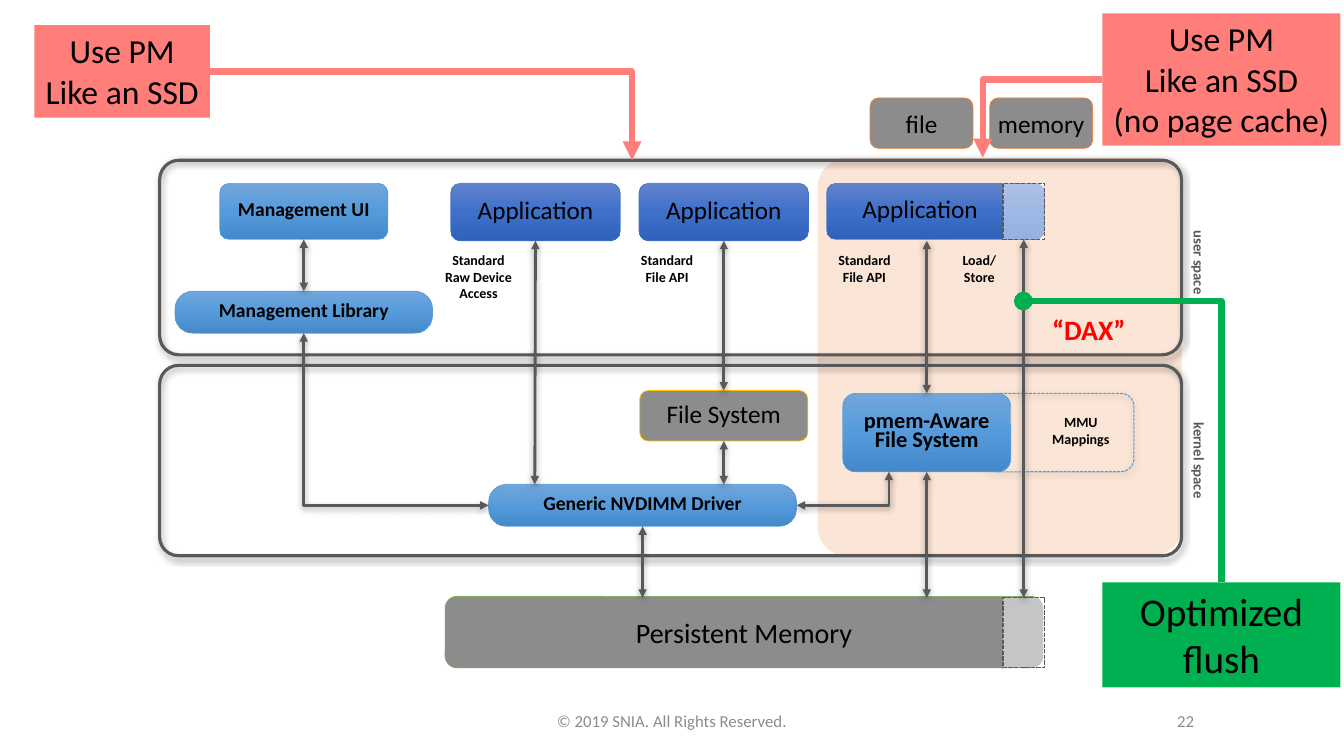
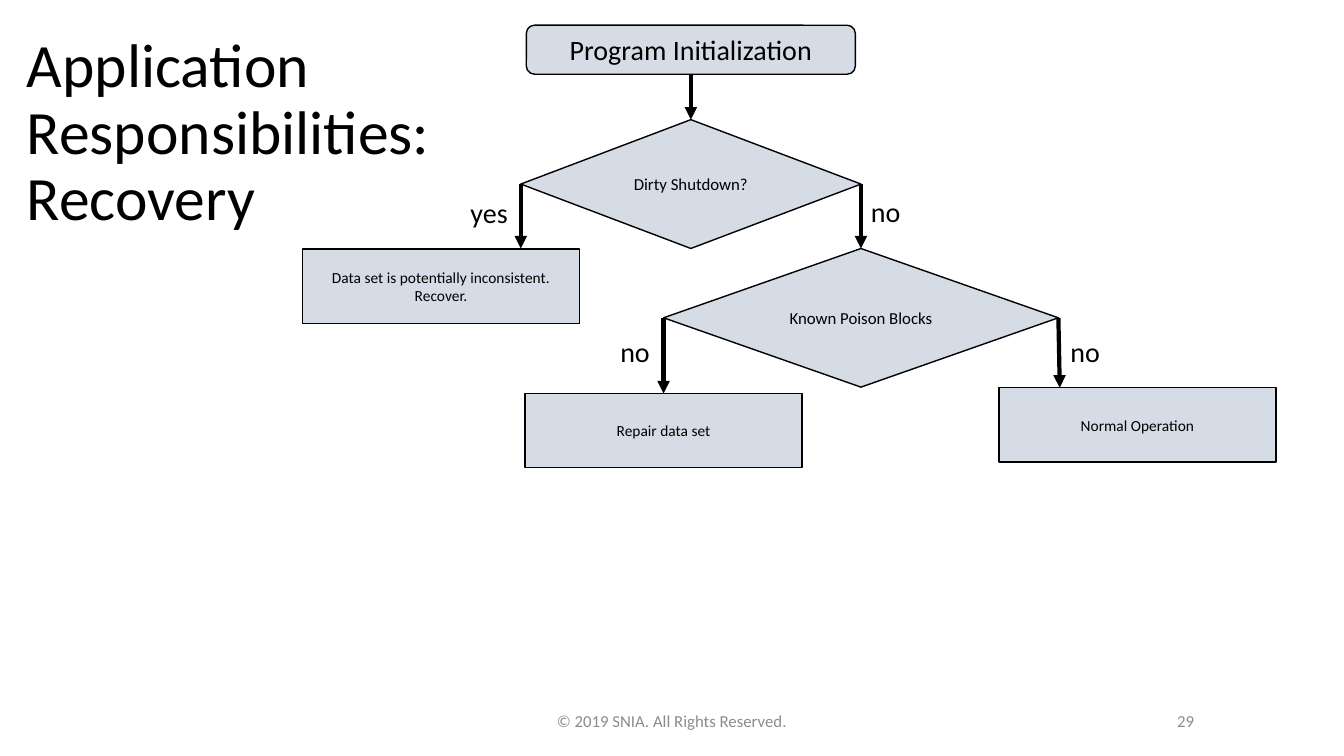
from lxml.etree import SubElement
from pptx import Presentation
from pptx.dml.color import RGBColor
from pptx.enum.dml import MSO_LINE
from pptx.enum.shapes import MSO_CONNECTOR, MSO_SHAPE
from pptx.enum.text import MSO_ANCHOR, MSO_AUTO_SIZE, PP_ALIGN
from pptx.oxml.ns import qn
from pptx.util import Pt

FONT = "Calibri"
BLACK = RGBColor(0x00, 0x00, 0x00)
WHITE = RGBColor(0xFF, 0xFF, 0xFF)
GRAY = RGBColor(0x8C, 0x8C, 0x8C)
DARK = RGBColor(0x59, 0x59, 0x59)
PEACH = RGBColor(0xFB, 0xE5, 0xD6)
CORAL = RGBColor(0xFF, 0x7E, 0x79)
GREEN = RGBColor(0x00, 0xB0, 0x50)
LEAF = RGBColor(0x70, 0xAD, 0x47)
GOLD = RGBColor(0xFF, 0xC0, 0x00)
ORANGE = RGBColor(0xED, 0x7D, 0x31)
RED = RGBColor(0xFF, 0x00, 0x00)
PALE = RGBColor(0xD6, 0xDC, 0xE5)
SKY = RGBColor(0x5B, 0x9B, 0xD5)
ROYAL = RGBColor(0x44, 0x72, 0xC4)
SKY_FADE = [RGBColor(0x71, 0xA6, 0xDB), RGBColor(0x55, 0x9B, 0xDB),
            RGBColor(0x44, 0x8A, 0xCA)]
ROYAL_FADE = [RGBColor(0x61, 0x83, 0xCB), RGBColor(0x3E, 0x70, 0xCA),
              RGBColor(0x30, 0x62, 0xBB)]

ROUND = MSO_SHAPE.ROUNDED_RECTANGLE
RECT = MSO_SHAPE.RECTANGLE
TOP, LEFT, BOTTOM, RIGHT = range(4)
SNUG = (5, 3, 5, 3)
LOW = (0, 0, 0, 3.6)
WIDE = (7.2, 0, 7.2, 3.6)


def write(shape, text, size=12, bold=False, color=BLACK, align=PP_ALIGN.CENTER,
          anchor=MSO_ANCHOR.MIDDLE, inset=(7.2, 3.6, 7.2, 3.6), wrap=True,
          lead=None):
    """Fill a shape with text, one paragraph a line."""
    frame = shape.text_frame
    frame.text = text
    frame.word_wrap = wrap
    frame.auto_size = MSO_AUTO_SIZE.NONE
    frame.vertical_anchor = anchor
    (frame.margin_left, frame.margin_top,
     frame.margin_right, frame.margin_bottom) = map(Pt, inset)
    for para in frame.paragraphs:
        para.alignment = align
        if lead:
            para.line_spacing = lead
        font = para.font
        font.name, font.size, font.bold = FONT, Pt(size), bold
        font.color.rgb = color


def label(slide, at, text, **style):
    box = slide.shapes.add_textbox(*map(Pt, at))
    write(box, text, **style)
    return box


def shade(shape, on):
    """Replace the theme's effects by a soft shadow, or by none."""
    effects = SubElement(shape._element.spPr, qn("a:effectLst"))
    if on:
        outer = SubElement(effects, qn("a:outerShdw"), blurRad=str(Pt(5)),
                           dist=str(Pt(1.6)), dir="5400000", rotWithShape="0")
        tint = SubElement(outer, qn("a:srgbClr"), val="000000")
        SubElement(tint, qn("a:alpha"), val="38000")


def fade(fill, shape, colors):
    """Give a shape an even gradient from top to bottom."""
    fill.gradient()
    fill.gradient_angle = 270
    stops = next(shape._element.spPr.iter(qn("a:gsLst")))
    for stop in list(stops):
        stops.remove(stop)
    for i, color in enumerate(colors):
        stop = SubElement(stops, qn("a:gs"), pos=str(i * 50000))
        SubElement(stop, qn("a:srgbClr"), val=str(color))


def block(slide, at, kind=ROUND, fill=None, line=None, width=0.5, curve=None,
          dash=False, clear=None, shadow=False, text=None, **style):
    shape = slide.shapes.add_shape(kind, *map(Pt, at))
    if curve is not None:
        shape.adjustments[0] = curve
    if fill is None:
        shape.fill.background()
    elif isinstance(fill, list):
        fade(shape.fill, shape, fill)
    else:
        shape.fill.solid()
        shape.fill.fore_color.rgb = fill
    if clear:
        tint = next(shape._element.spPr.iter(qn("a:srgbClr")))
        SubElement(tint, qn("a:alpha"), val=str(clear * 1000))
    if line is None:
        shape.line.fill.background()
    else:
        shape.line.color.rgb = line
        shape.line.width = Pt(width)
    if dash:
        shape.line.dash_style = MSO_LINE.SQUARE_DOT
    shade(shape, shadow)
    if text:
        write(shape, text, **style)
    return shape


def spot(end):
    """Turn a point, or a shape and its side, into a place."""
    box, side = end
    if isinstance(box, (int, float)):
        return Pt(box), Pt(side)
    return (box.left + box.width * (1, 0, 1, 2)[side] // 2,
            box.top + box.height * (0, 1, 2, 1)[side] // 2)


def link(slide, start, stop, color=DARK, width=2, head="triangle",
         tail="triangle", bend=False, shadow=False):
    """Draw an arrow; a bent one runs level first, then upright."""
    kind = MSO_CONNECTOR.ELBOW if bend else MSO_CONNECTOR.STRAIGHT
    wire = slide.shapes.add_connector(kind, *spot(start), *spot(stop))
    for end, join in ((start, wire.begin_connect), (stop, wire.end_connect)):
        if not isinstance(end[0], (int, float)):
            join(*end)
    form = wire._element.spPr
    if bend:
        form.find(qn("a:prstGeom")).set("prst", "bentConnector2")
    wire.line.color.rgb = color
    wire.line.width = Pt(width)
    edge = form.find(qn("a:ln"))
    for tag, tip in (("a:headEnd", head), ("a:tailEnd", tail)):
        if tip:
            SubElement(edge, qn(tag), type=tip)
    shade(wire, shadow)


def foot(slide, number):
    label(slide, (318, 500, 324, 29), "© 2019 SNIA. All Rights Reserved.",
          color=GRAY)
    label(slide, (644, 500, 216, 29), number, color=GRAY,
          align=PP_ALIGN.RIGHT)


def stack(slide):
    """Draw the software stack above persistent memory."""
    foot(slide, "22")
    block(slide, (584, 113, 260, 284), fill=PEACH, curve=0.08)
    block(slide, (318, 426, 427, 51), fill=GRAY, line=LEAF,
          text="Persistent Memory", size=20, inset=SNUG, wrap=False)
    for top, high, name, start, span in (
            (114.5, 139, "user space", 127, 121),
            (261, 136, "kernel space", 243, 172)):
        block(slide, (114, top, 730, high), line=DARK, width=2.25, curve=0.1,
              shadow=True)
        side = label(slide, (844, start, 24, span), name, size=10.5, bold=True,
                     color=DARK, anchor=MSO_ANCHOR.TOP, inset=SNUG)
        side.rotation = 180
        side.text_frame._txBody.bodyPr.set("vert", "vert270")

    blue = {"fill": SKY_FADE, "line": SKY, "bold": True}
    panel = blue | {"size": 14, "inset": LOW}
    royal = {"fill": ROYAL_FADE, "line": ROYAL, "size": 18,
             "text": "Application"}
    tool = block(slide, (157, 131, 120, 40), text="Management UI", **panel)
    base = block(slide, (125, 208, 184, 30), curve=0.43,
                 text="Management Library", **panel)
    driver = block(slide, (349, 346, 220, 30), curve=0.43,
                   text="Generic NVDIMM Driver", **panel)
    raw, user = [block(slide, (x, 131, 121, 41), inset=WIDE, **royal)
                 for x in (322, 456.5)]
    block(slide, (590.5, 131, 155.5, 40), align=PP_ALIGN.LEFT,
          inset=(23.5, 0, 7.2, 3.6), **royal)
    files = block(slide, (457, 279, 120, 36), fill=GRAY, line=GOLD,
                  text="File System", size=18, inset=WIDE)
    block(slide, (702, 281, 108, 56), line=SKY, width=0.75, dash=True,
          shadow=True)
    aware = block(slide, (602, 281, 120, 56), text="pmem-Aware\nFile System",
                  size=16, inset=(0, 0, 0, 0), lead=0.7, **blue)
    load, store = [block(slide, (716.5, y, 29.5, high), RECT, fill=WHITE,
                         clear=50, line=DARK, width=1, dash=True)
                   for y, high in ((131, 40), (427, 50))]

    for x, y, wide, high, text in (
            (291, 176, 101.5, 44, "Standard\nRaw Device\nAccess"),
            (425, 176, 103, 32, "Standard\nFile API"),
            (566, 176, 103, 32, "Standard\nFile API"),
            (662, 176, 75, 32, "Load/\nStore"),
            (724, 292, 96, 32, "MMU\nMappings")):
        label(slide, (x, y, wide, high), text, size=10, bold=True,
              anchor=MSO_ANCHOR.TOP)
    label(slide, (731, 220, 93.5, 32), "“DAX”", size=20, bold=True, color=RED,
          anchor=MSO_ANCHOR.TOP)

    for start, stop in (
            ((tool, BOTTOM), (base, TOP)),
            ((raw, BOTTOM), (382, 346)),
            ((user, BOTTOM), (files, TOP)),
            ((files, BOTTOM), (517, 346)),
            ((662, 172), (aware, TOP)),
            ((aware, BOTTOM), (662, 427)),
            ((driver, BOTTOM), (459, 427)),
            ((load, BOTTOM), (store, TOP))):
        link(slide, start, stop, shadow=True)
    link(slide, (driver, LEFT), (base, BOTTOM), bend=True, shadow=True)
    link(slide, (driver, RIGHT), (635, 337), bend=True, shadow=True)

    for x, text in ((621.5, "file"), (707, "memory")):
        block(slide, (x, 70, 73.5, 36), fill=GRAY, line=ORANGE, text=text,
              size=18, inset=SNUG, wrap=False)
    note = {"kind": RECT, "anchor": MSO_ANCHOR.TOP}
    coral = note | {"fill": CORAL, "size": 24, "wrap": False}
    cached = block(slide, (24.5, 18, 125.5, 66), text="Use PM\nLike an SSD",
                   **coral)
    direct = block(slide, (787.5, 9.5, 170, 94.5),
                   text="Use PM\nLike an SSD\n(no page cache)", **coral)
    flush = block(slide, (787.5, 416, 170, 75), fill=GREEN,
                  text="Optimized flush", size=28, **note)
    bold = {"width": 4.5, "bend": True}
    link(slide, (cached, RIGHT), (451.5, 114.5), CORAL, head=None, **bold)
    link(slide, (direct, LEFT), (702, 112.5), CORAL, head=None, **bold)
    link(slide, (731, 215), (flush, TOP), GREEN, head="oval", tail=None,
         **bold)


def flow(slide):
    """Draw the recovery flow chart."""
    title = slide.shapes.title
    title.left, title.top, title.width, title.height = map(
        Pt, (12, 14.5, 330, 163))
    write(title, "Application Responsibilities: Recovery", size=44,
          align=PP_ALIGN.LEFT, lead=0.9)
    foot(slide, "29")

    def step(kind, at, text, size):
        return block(slide, at, kind, fill=PALE, line=BLACK, width=1,
                     text=text, size=size)

    begin = step(MSO_SHAPE.FLOWCHART_ALTERNATE_PROCESS, (376, 18, 235, 35),
                 "Program Initialization", 20)
    dirty, known = [step(MSO_SHAPE.FLOWCHART_DECISION, at, text, 12)
                    for at, text in (
                        ((372, 85.5, 243, 92), "Dirty Shutdown?"),
                        ((474, 177.5, 282, 99), "Known Poison Blocks"))]
    repair = [step(MSO_SHAPE.FLOWCHART_PROCESS, (x, y, 198, 53), text, 11)
              for x, y, text in (
                  (216, 178, "Data set is potentially inconsistent.\nRecover."),
                  (713.5, 277, "Normal Operation"),
                  (375, 281, "Repair data set"))][-1]
    for start, stop in (
            ((begin, BOTTOM), (dirty, TOP)),
            ((dirty, LEFT), (372, 177.5)),
            ((dirty, RIGHT), (known, TOP)),
            ((known, LEFT), (repair, TOP)),
            ((known, RIGHT), (757, 277))):
        link(slide, start, stop, BLACK, 3, head=None)
    for x, y, wide, text in ((329, 136, 42, "yes"), (615, 135.5, 36, "no"),
                             (757.5, 235.5, 36, "no"), (436, 235.5, 36, "no")):
        label(slide, (x, y, wide, 32), text, size=20, align=PP_ALIGN.LEFT,
              anchor=MSO_ANCHOR.TOP, wrap=False)


def main():
    deck = Presentation()
    deck.slide_width, deck.slide_height = Pt(960), Pt(540)
    stack(deck.slides.add_slide(deck.slide_layouts[6]))
    flow(deck.slides.add_slide(deck.slide_layouts[5]))
    deck.save("out.pptx")


if __name__ == "__main__":
    main()
